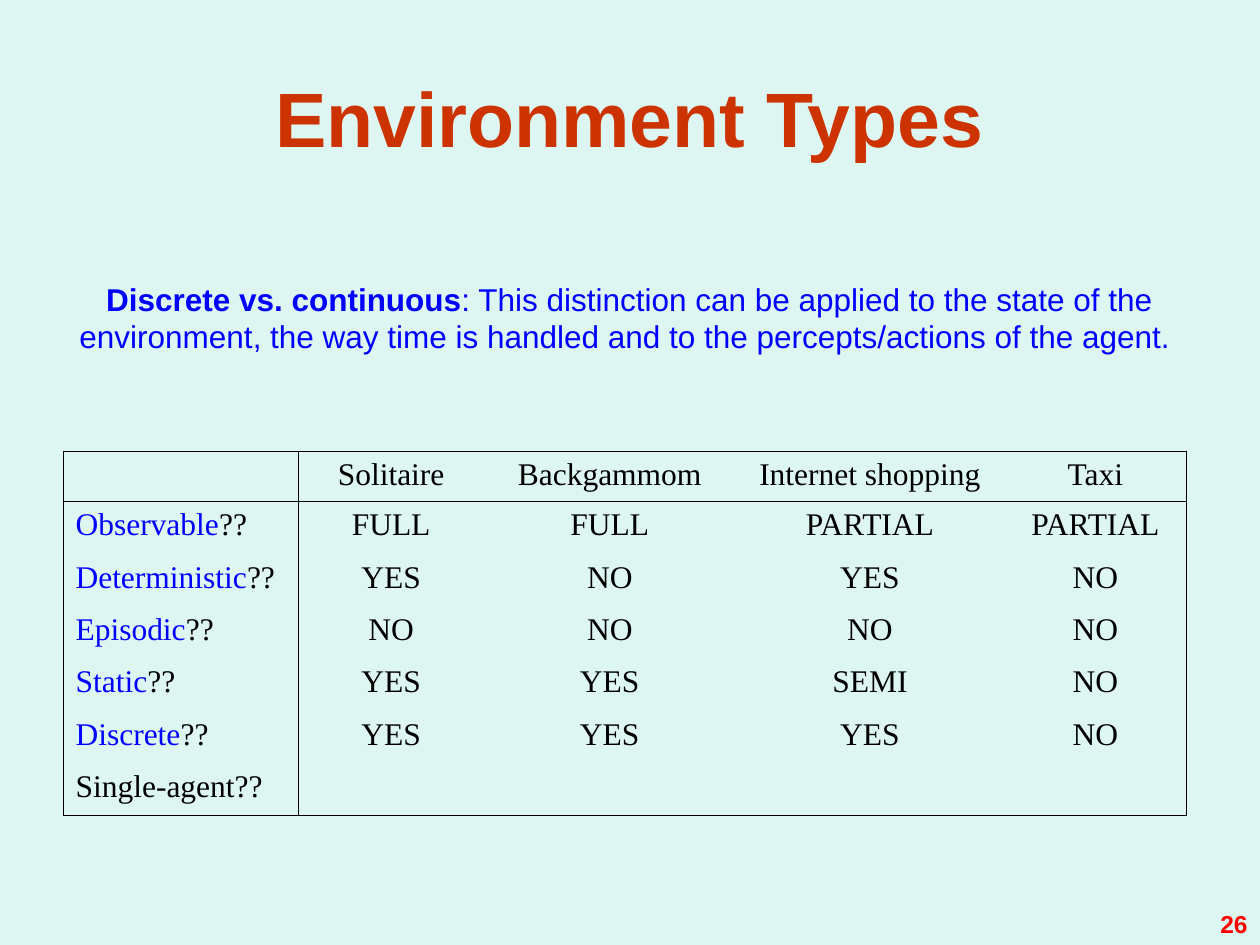
from pptx import Presentation
from pptx.dml.color import RGBColor as RGB
from pptx.enum.text import MSO_ANCHOR as ANCHOR, PP_ALIGN as ALIGN
from pptx.oxml.ns import qn
from pptx.util import Inches, Pt
from lxml import etree

COLORS = {
    "background": "DEF6F1",
    "title": "CC3300",
    "accent": "0000FF",
    "text": "000000",
    "number": "FF0000",
}
COLUMN_WIDTHS = [1.87, 1.47, 2, 2.13, 1.45]
ROW_HEIGHTS = [0.4] + [0.415] * 6
ENVIRONMENTS = [
    ["", "Solitaire", "Backgammom", "Internet shopping", "Taxi"],
    ["Observable??", "FULL", "FULL", "PARTIAL", "PARTIAL"],
    ["Deterministic??", "YES", "NO", "YES", "NO"],
    ["Episodic??", "NO", "NO", "NO", "NO"],
    ["Static??", "YES", "YES", "SEMI", "NO"],
    ["Discrete??", "YES", "YES", "YES", "NO"],
    ["Single-agent??", "", "", "", ""],
]


def set_font(font, name, size, color, bold=False):
    font.name = name
    font.size = Pt(size)
    font.bold = bold
    font.color.rgb = RGB.from_string(COLORS[color])


def add_text_frame(s, box, anchor, inset=0.1):
    tf = s.shapes.add_textbox(*map(Inches, box)).text_frame
    tf.word_wrap = True
    tf.vertical_anchor = anchor
    tf.margin_left = tf.margin_right = Inches(inset)
    return tf


def add_line(s, box, text, anchor, align, size, color):
    p = add_text_frame(s, box, anchor).paragraphs[0]
    p.text = text
    p.alignment = align
    set_font(p.font, "Arial", size, color, True)


def add_definition(s, box):
    tf = add_text_frame(s, box, ANCHOR.TOP, 0)
    tf.word_wrap = False
    lines = [
        [("Discrete vs. continuous", True),
         (": This distinction can be applied to the state of the", False)],
        [("environment, the way time is handled and to the percepts/actions of the agent. ", False)],
    ]
    for i, line in enumerate(lines):
        p = tf.add_paragraph() if i else tf.paragraphs[0]
        p.alignment = ALIGN.CENTER
        set_font(p.font, "Arial", 18, "accent")
        for text, bold in line:
            r = p.add_run()
            r.text = text
            r.font.bold = bold


def set_borders(cell, sides):
    tc_pr = cell._tc.get_or_add_tcPr()
    for side in "LRTB":
        ln = etree.SubElement(tc_pr, qn(f"a:ln{side}"), w=str(Pt(0.45)))
        if side in sides:
            fill = etree.SubElement(ln, qn("a:solidFill"))
            etree.SubElement(fill, qn("a:srgbClr"), val=COLORS["text"])
        else:
            etree.SubElement(ln, qn("a:noFill"))


def fill_cell(cell, text, is_label):
    p = cell.text_frame.paragraphs[0]
    p.alignment = ALIGN.LEFT if is_label else ALIGN.CENTER
    set_font(p.font, "Times New Roman", 18, "text")
    if is_label and text != "Single-agent??":
        r = p.add_run()
        r.text = text.removesuffix("??")
        r.font.color.rgb = RGB.from_string(COLORS["accent"])
        text = "??"
    if text:
        p.add_run().text = text


def add_environment_table(s, box):
    rows, cols = len(ENVIRONMENTS), len(COLUMN_WIDTHS)
    table = s.shapes.add_table(rows, cols, *map(Inches, box)).table
    table.first_row = table.horz_banding = False
    for column, width in zip(table.columns, COLUMN_WIDTHS):
        column.width = Inches(width)
    for row, height in zip(table.rows, ROW_HEIGHTS):
        row.height = Inches(height)
    for i, values in enumerate(ENVIRONMENTS):
        for j, text in enumerate(values):
            cell = table.cell(i, j)
            edges = {
                "L": j in (0, 1),
                "R": j in (0, cols - 1),
                "T": i in (0, 1),
                "B": i in (0, rows - 1),
            }
            set_borders(cell, [side for side, drawn in edges.items() if drawn])
            cell.fill.background()
            fill_cell(cell, text, j == 0 and i > 0)


def main():
    prs = Presentation()
    prs.slide_width, prs.slide_height = Inches(10), Inches(7.5)
    s = prs.slides.add_slide(prs.slide_layouts[6])
    s.background.fill.solid()
    s.background.fill.fore_color.rgb = RGB.from_string(COLORS["background"])
    add_line(s, (0.5, 0.3, 9, 1.25), "Environment Types", ANCHOR.MIDDLE, ALIGN.CENTER, 44, "title")
    add_environment_table(s, (0.5, 3.58, sum(COLUMN_WIDTHS), sum(ROW_HEIGHTS)))
    add_definition(s, (0.63, 2.17, 8.73, 0.7))
    add_line(s, (7.67, 6.98, 2.33, 0.52), "26", ANCHOR.BOTTOM, ALIGN.RIGHT, 14, "number")
    prs.save("out.pptx")


if __name__ == "__main__":
    main()
